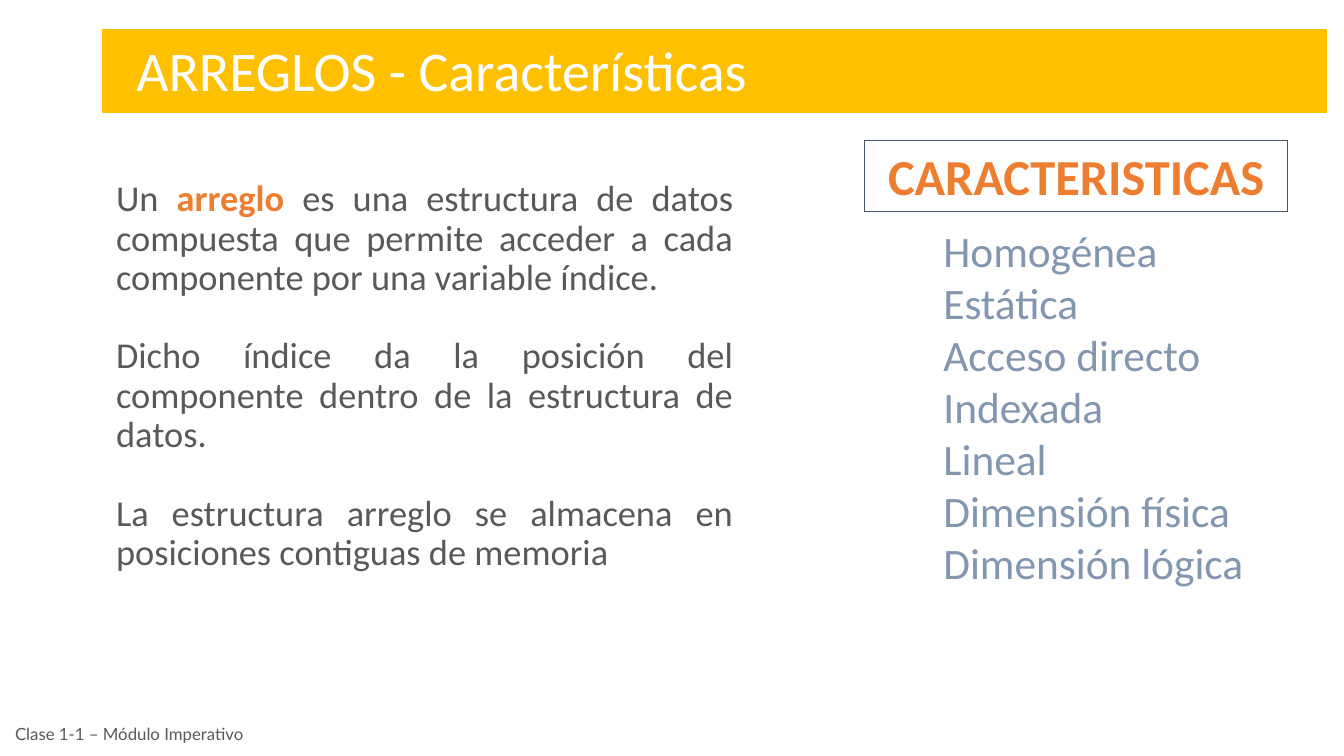
from pptx import Presentation
from pptx.dml.color import RGBColor
from pptx.enum.shapes import MSO_SHAPE as Preset
from pptx.enum.text import MSO_ANCHOR as Anchor, MSO_AUTO_SIZE as AutoSize, PP_ALIGN as Align
from pptx.oxml.ns import qn
from pptx.util import Cm, Pt
from lxml import etree

COLORS = {"amber": "FFC000", "white": "FFFFFF", "gray": "595959",
          "orange": "ED7D31", "navy": "44546A", "slate": "8296B0"}


def set_frame(shape, left, top, width, height, anchor=Anchor.TOP):
    """Place a shape and give its text a plain, wrapped frame."""
    shape.left, shape.top = Cm(left), Cm(top)
    shape.width, shape.height = Cm(width), Cm(height)
    frame = shape.text_frame
    frame.word_wrap = True
    frame.auto_size = AutoSize.NONE
    frame.vertical_anchor = anchor
    return frame


def write_paragraph(frame, index, runs, size, align=Align.LEFT, font="Calibri"):
    """Fill one unbulleted paragraph with (text, colour, bold) runs."""
    paragraph = frame.add_paragraph() if index else frame.paragraphs[0]
    paragraph.alignment = align
    paragraph.space_before = Pt(0)
    properties = paragraph._p.get_or_add_pPr()
    properties.set("marL", "0")
    properties.set("indent", "0")
    etree.SubElement(properties, qn("a:buNone"))
    for text, color, bold in runs:
        run = paragraph.add_run()
        run.text = text
        run.font.name = font
        run.font.size = Pt(size)
        run.font.bold = bold
        run.font.color.rgb = RGBColor.from_string(COLORS[color])
    return paragraph


presentation = Presentation()
presentation.slide_width, presentation.slide_height = Cm(33.87), Cm(19.05)
slide = presentation.slides.add_slide(presentation.slide_layouts[3])
title, definition, features = slide.placeholders

# Title band, behind the title
band = slide.shapes.add_shape(Preset.RECTANGLE, Cm(2.6), Cm(0.76), Cm(30.83), Cm(2.06))
band.shadow.inherit = False
band.fill.solid()
band.fill.fore_color.rgb = RGBColor.from_string(COLORS["amber"])
band.line.color.rgb = RGBColor.from_string(COLORS["amber"])
band.line.width = Pt(1)
title._element.addprevious(band._element)

# Title
frame = set_frame(title, 3.18, 0.76, 16.05, 1.96)
write_paragraph(frame, 0, [("ARREGLOS - Características", "white", False)], 40)

# Definition
definition_paragraphs = [
    [("Un ", "gray", False), ("arreglo", "orange", True),
     (" es una estructura de datos compuesta que permite acceder a cada "
      "componente por una variable índice.", "gray", False)],
    [("Dicho índice da la posición del componente dentro de la estructura de datos.",
      "gray", False)],
    [("La estructura arreglo se almacena en posiciones contiguas de memoria",
      "gray", False)],
]
frame = set_frame(definition, 2.67, 4.42, 16.08, 11.71)
for index, runs in enumerate(definition_paragraphs):
    paragraph = write_paragraph(frame, index, runs, 26, Align.JUSTIFY)
    paragraph.line_spacing = 0.9
    paragraph.space_after = Pt(28)

# Heading of the features
heading = slide.shapes.add_shape(Preset.RECTANGLE, 0, 0, 0, 0)
heading.shadow.inherit = False
heading.fill.background()
heading.line.color.rgb = RGBColor.from_string(COLORS["navy"])
heading.line.width = Pt(0.75)
frame = set_frame(heading, 21.79, 3.53, 10.67, 1.8)
write_paragraph(frame, 0, [("CARACTERISTICAS", "orange", True)], 36, Align.CENTER)

# Features
frame = set_frame(features, 23.52, 5.51, 8.94, 9.53)
for index, feature in enumerate(["Homogénea", "Estática", "Acceso directo", "Indexada",
                                 "Lineal", "Dimensión física", "Dimensión lógica"]):
    write_paragraph(frame, index, [(feature, "slate", False)], 31)

# Class label at the foot
label = slide.shapes.add_textbox(0, 0, 0, 0)
frame = set_frame(label, 0.13, 17.91, 8.1, 1.14, Anchor.MIDDLE)
write_paragraph(frame, 0, [("Clase 1-1 – Módulo Imperativo", "gray", False)], 12, font="Lato")

presentation.save("out.pptx")
